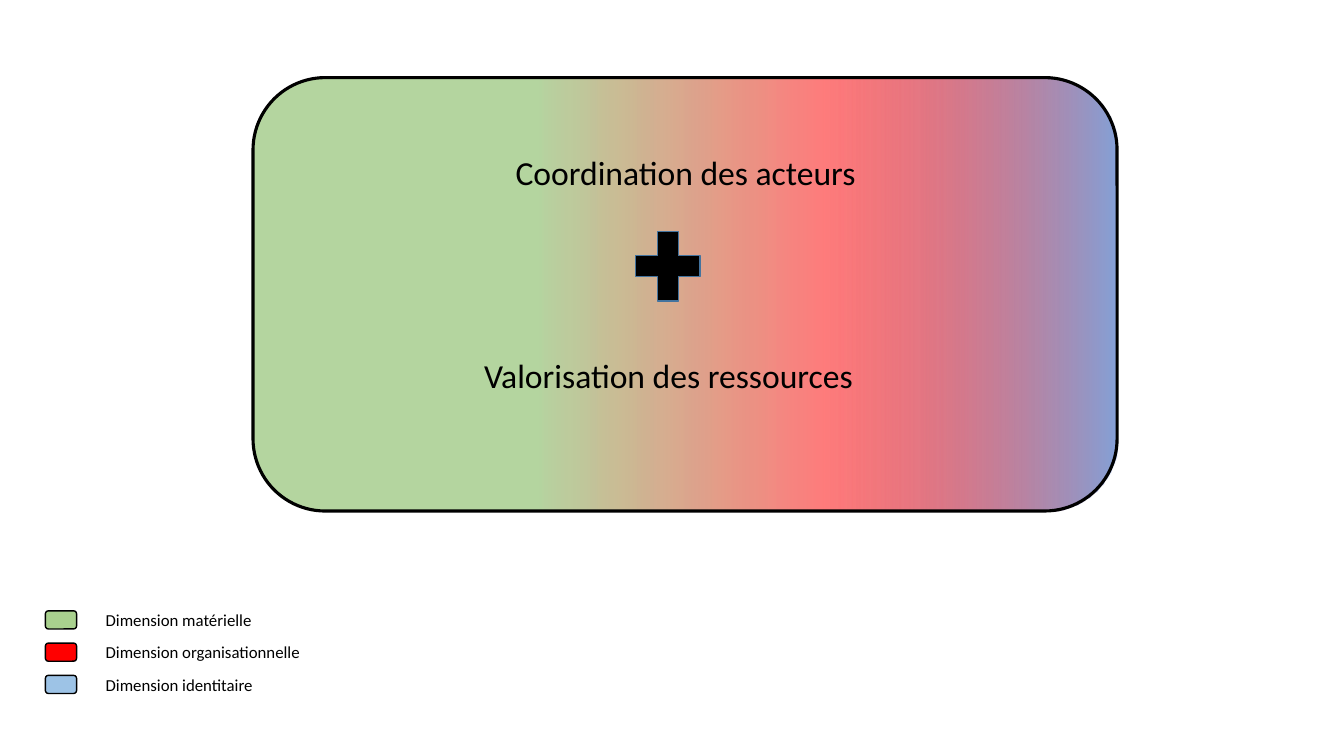
import pptx
import pptx.util
import pptx.dml.color
import pptx.enum.shapes
import pptx.enum.text
import pptx.oxml
import pptx.oxml.ns

Inches = pptx.util.Inches
SHAPES = pptx.enum.shapes.MSO_SHAPE
ALIGN = pptx.enum.text.PP_ALIGN

COLOURS = {
    "black": "000000",
    "plus_edge": "43739E",
    "material": "A9D18E",
    "organisation": "FF0000",
    "identity": "9DC3E6",
    "frame_green": "70AD47",
    "frame_red": "FF0000",
    "frame_blue": "84A2D8",
}

# Position %, colour, opacity %
FRAME_STOPS = [
    (33, "frame_green", 51),
    (66, "frame_red", 51),
    (100, "frame_blue", 100),
]

LEGEND = [
    ("Dimension matérielle", "material"),
    ("Dimension organisationnelle", "organisation"),
    ("Dimension identitaire", "identity"),
]
LEGEND_TOP = 6.06
LEGEND_PITCH = 0.32
LABEL_RISE = 0.06


def rgb(colour):
    """Return the RGB value of a named colour."""
    return pptx.dml.color.RGBColor.from_string(COLOURS[colour])


def add_outlined(slide, kind, box, line_width, edge="black", fill=None):
    """Add a preset shape with an outline and, if named, a solid fill."""
    shape = slide.shapes.add_shape(kind, *map(Inches, box))
    shape.shadow.inherit = False
    shape.line.color.rgb = rgb(edge)
    shape.line.width = pptx.util.Pt(line_width)
    if fill:
        shape.fill.solid()
        shape.fill.fore_color.rgb = rgb(fill)
    return shape


def set_gradient(shape, stops):
    """Fill a shape from left to right with translucent colour stops."""
    shape.fill.gradient()
    shape.fill.gradient_angle = 0
    stop_list = shape.element.spPr.find(".//" + pptx.oxml.ns.qn("a:gsLst"))
    for old_stop in list(stop_list):
        stop_list.remove(old_stop)
    namespace = pptx.oxml.ns.nsdecls("a")
    for position, colour, opacity in stops:
        stop_list.append(pptx.oxml.parse_xml(
            f'<a:gs {namespace} pos="{position * 1000}">'
            f'<a:srgbClr val="{COLOURS[colour]}">'
            f'<a:alpha val="{opacity * 1000}"/></a:srgbClr></a:gs>'))


def add_label(slide, wording, box, size, align=ALIGN.LEFT):
    """Add one line of black text in a box that grows with it."""
    frame = slide.shapes.add_textbox(*map(Inches, box)).text_frame
    frame.word_wrap = True
    frame.auto_size = pptx.enum.text.MSO_AUTO_SIZE.SHAPE_TO_FIT_TEXT
    frame.text = wording
    paragraph = frame.paragraphs[0]
    paragraph.alignment = align
    font = paragraph.runs[0].font
    font.name = "Calibri"
    font.size = pptx.util.Pt(size)
    font.color.rgb = rgb("black")


def add_legend(slide):
    """Add a swatch and a label for each dimension."""
    for row, (wording, colour) in enumerate(LEGEND):
        top = LEGEND_TOP + row * LEGEND_PITCH
        add_outlined(slide, SHAPES.ROUNDED_RECTANGLE,
                     (0.45, top, 0.31, 0.18), 1, fill=colour)
        add_label(slide, wording, (0.95, top - LABEL_RISE, 3.13, 0.3), 12)


def main():
    """Build the slide and save it."""
    deck = pptx.Presentation()
    deck.slide_width = Inches(13.33)
    deck.slide_height = Inches(7.5)
    slide = deck.slides.add_slide(deck.slide_layouts[6])

    dimensions = add_outlined(slide, SHAPES.ROUNDED_RECTANGLE,
                              (2.51, 0.77, 8.57, 4.3), 2.25)
    set_gradient(dimensions, FRAME_STOPS)
    add_label(slide, "Coordination des acteurs",
              (4.73, 1.46, 4.14, 0.5), 24, ALIGN.CENTER)
    add_outlined(slide, SHAPES.MATH_PLUS, (6.19, 2.17, 0.87, 0.94), 1,
                 edge="plus_edge", fill="black")
    add_label(slide, "Valorisation des ressources",
              (4.42, 3.47, 4.42, 0.5), 24, ALIGN.CENTER)
    add_legend(slide)

    deck.save("out.pptx")


main()
